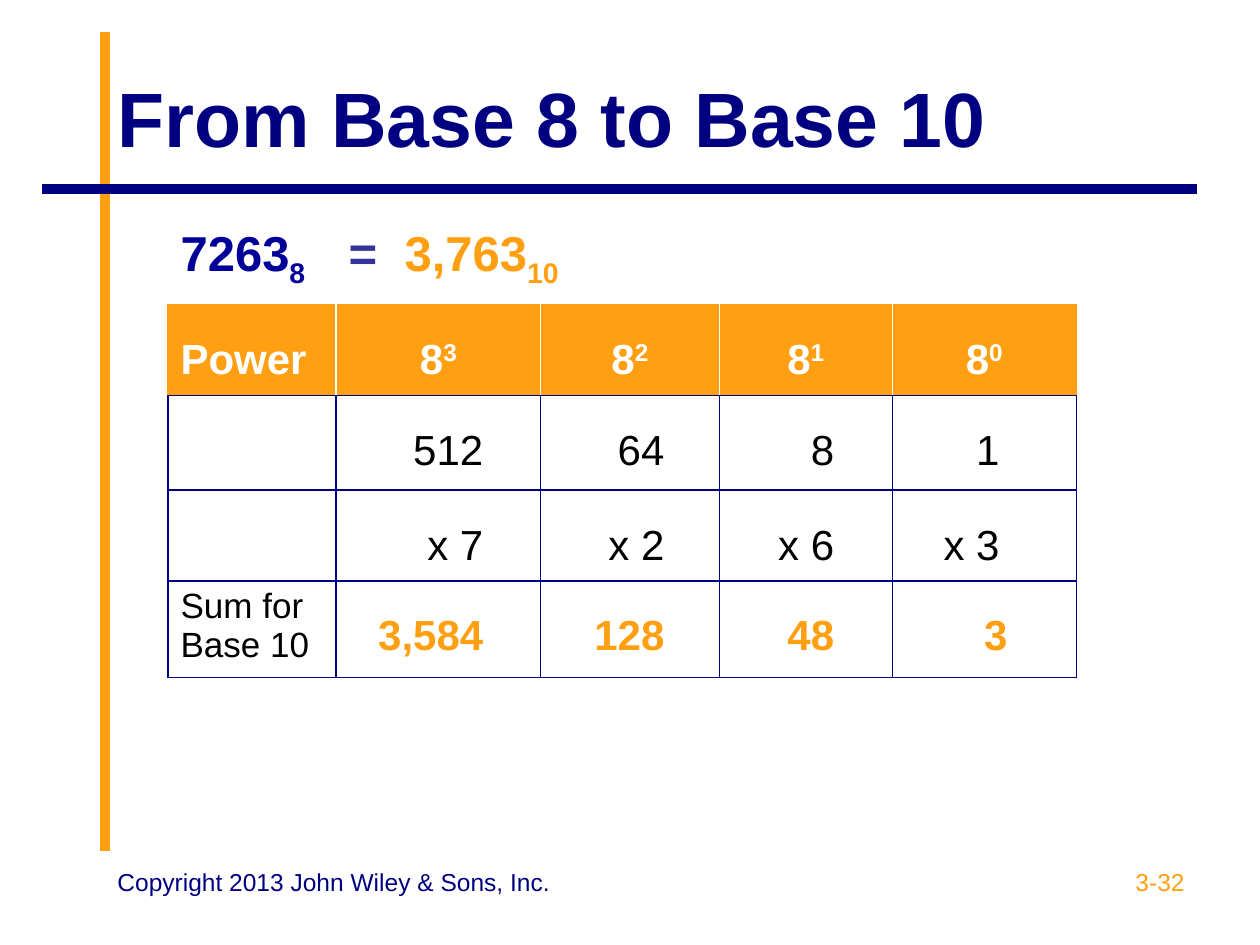
from dataclasses import dataclass

from lxml.etree import SubElement
from pptx import Presentation
from pptx.dml.color import RGBColor as RGB
from pptx.enum.shapes import MSO_CONNECTOR as Connector
from pptx.enum.text import MSO_ANCHOR as Anchor, PP_ALIGN as Align
from pptx.oxml.ns import qn
from pptx.util import Pt


@dataclass(frozen=True)
class Theme:
    font: str = "Arial"
    navy: str = "000080"
    number: str = "000099"
    equals: str = "333399"
    orange: str = "FF9F11"
    white: str = "FFFFFF"
    black: str = "000000"
    title: int = 44
    equation: int = 28
    figure: int = 24
    label: int = 20
    footer: int = 14
    rule: float = 5.5
    border: float = 0.75


def set_values(target, values):
    for name, value in values.items():
        setattr(target, name, value)


class BaseSlide:
    """Holds the theme and the slide being built."""

    def __init__(self, slide, theme):
        self.slide, self.theme = slide, theme

    def rule(self, start, end, color):
        line = self.slide.shapes.add_connector(Connector.STRAIGHT, *map(Pt, start + end))
        line.line.width = Pt(self.theme.rule)
        line.line.color.rgb = RGB.from_string(color)
        SubElement(line._element.spPr, qn("a:effectLst"))

    def add_runs(self, paragraph, runs, size, bold=False, tab=None, **layout):
        if tab:
            stops = SubElement(paragraph._p.get_or_add_pPr(), qn("a:tabLst"))
            position, kind = tab
            SubElement(stops, qn("a:tab"), pos=str(Pt(position)), algn=kind)
        set_values(paragraph, layout)
        for text, color, baseline in runs:
            run = paragraph.add_run()
            run.text = text
            set_values(run.font, {"name": self.theme.font, "size": Pt(size), "bold": bold})
            run.font.color.rgb = RGB.from_string(color)
            if baseline:
                run._r.get_or_add_rPr().set("baseline", str(baseline * 1000))

    def text(self, box, words, color, size, anchor=Anchor.TOP, **style):
        frame = self.slide.shapes.add_textbox(*map(Pt, box)).text_frame
        set_values(frame, {"word_wrap": True, "vertical_anchor": anchor})
        self.add_runs(frame.paragraphs[0], [(words, color, 0)], size, **style)

    def table(self, left, top, widths, heights):
        table = self.slide.shapes.add_table(
            len(heights), len(widths), *map(Pt, (left, top, sum(widths), sum(heights)))).table
        set_values(table, {"first_row": False, "horz_banding": False})
        for column, width in zip(table.columns, widths):
            column.width = Pt(width)
        for row, height in zip(table.rows, heights):
            row.height = Pt(height)
        return table

    def cell(self, cell, fill, borders):
        if fill:
            cell.fill.solid()
            cell.fill.fore_color.rgb = RGB.from_string(fill)
        else:
            cell.fill.background()
        properties = cell._tc.get_or_add_tcPr()
        for place, (side, color) in enumerate(zip("LRTB", borders)):
            edge = SubElement(properties, qn(f"a:ln{side}"), w=str(Pt(self.theme.border)))
            if color:
                SubElement(SubElement(edge, qn("a:solidFill")), qn("a:srgbClr"), val=color)
            else:
                SubElement(edge, qn("a:noFill"))
            properties.insert(place, edge)


def fill_conversion(page):
    theme = page.theme
    navy, orange, white = theme.navy, theme.orange, theme.white
    conversion = page.table(96, 126, (96, 117, 102, 99, 105), (48, 52, 54, 52, 55))
    last = len(conversion.columns) - 1
    for row in range(len(conversion.rows)):
        for column in range(last + 1):
            fill, borders = None, (navy,) * 4
            if row == 0:
                borders = (None, None, None, orange)
            elif row == 1:
                fill = orange
                borders = (white if column else orange,
                           white if column < last else orange, orange, navy)
            page.cell(conversion.cell(row, column), fill, borders)
    conversion.cell(0, 1).merge(conversion.cell(0, 2))

    def put(row, column, runs, size=theme.figure, **style):
        page.add_runs(conversion.cell(row, column).text_frame.paragraphs[0], runs, size, **style)

    put(0, 0, [("7263", theme.number, 0), ("8", theme.number, -25)], theme.equation, bold=True)
    put(0, 1, [("=\t", theme.equals, 0), ("3,763", orange, 0), ("10", orange, -25)],
        theme.equation, bold=True, tab=(32, "l"))
    put(1, 0, [("Power", white, 0)], bold=True, line_spacing=1.55)
    put(4, 0, [("Sum for Base 10", theme.black, 0)], theme.label)

    digits = (
        ("3", "512", "x 7", "3,584", 77, 77),
        ("2", "64", "x 2", "128", 63.5, 63.5),
        ("1", "8", "x 6", "48", 58.5, 58.5),
        ("0", "1", "x 3", "3", 54, 58.5),
    )
    for column, (power, value, digit, product, stop, sum_stop) in enumerate(digits, 1):
        put(1, column, [("8", white, 0), (power, white, 30)], bold=True,
            alignment=Align.CENTER, line_spacing=1.55)
        for row, words, color, bold, position in (
                (2, value, theme.black, False, stop),
                (3, digit, theme.black, False, stop),
                (4, product, orange, True, sum_stop)):
            put(row, column, [("\t" + words, color, 0)], bold=bold,
                tab=(position, "dec"), line_spacing=1.55)


def main():
    deck = Presentation()
    set_values(deck, {"slide_width": Pt(720), "slide_height": Pt(540)})
    theme = Theme()
    page = BaseSlide(deck.slides.add_slide(deck.slide_layouts[6]), theme)
    page.rule((60, 486), (60, 18), theme.orange)
    page.rule((684, 108), (24, 108), theme.navy)
    page.text((60, 21.6, 624, 90), "From Base 8 to Base 10", theme.navy, theme.title,
              Anchor.MIDDLE, bold=True)
    fill_conversion(page)
    page.text((516, 492, 168, 37.5), "3-32", theme.orange, theme.footer, alignment=Align.RIGHT)
    page.text((60, 492, 264, 37.5), "Copyright 2013 John Wiley & Sons, Inc.",
              theme.navy, theme.footer)
    deck.save("out.pptx")


if __name__ == "__main__":
    main()
